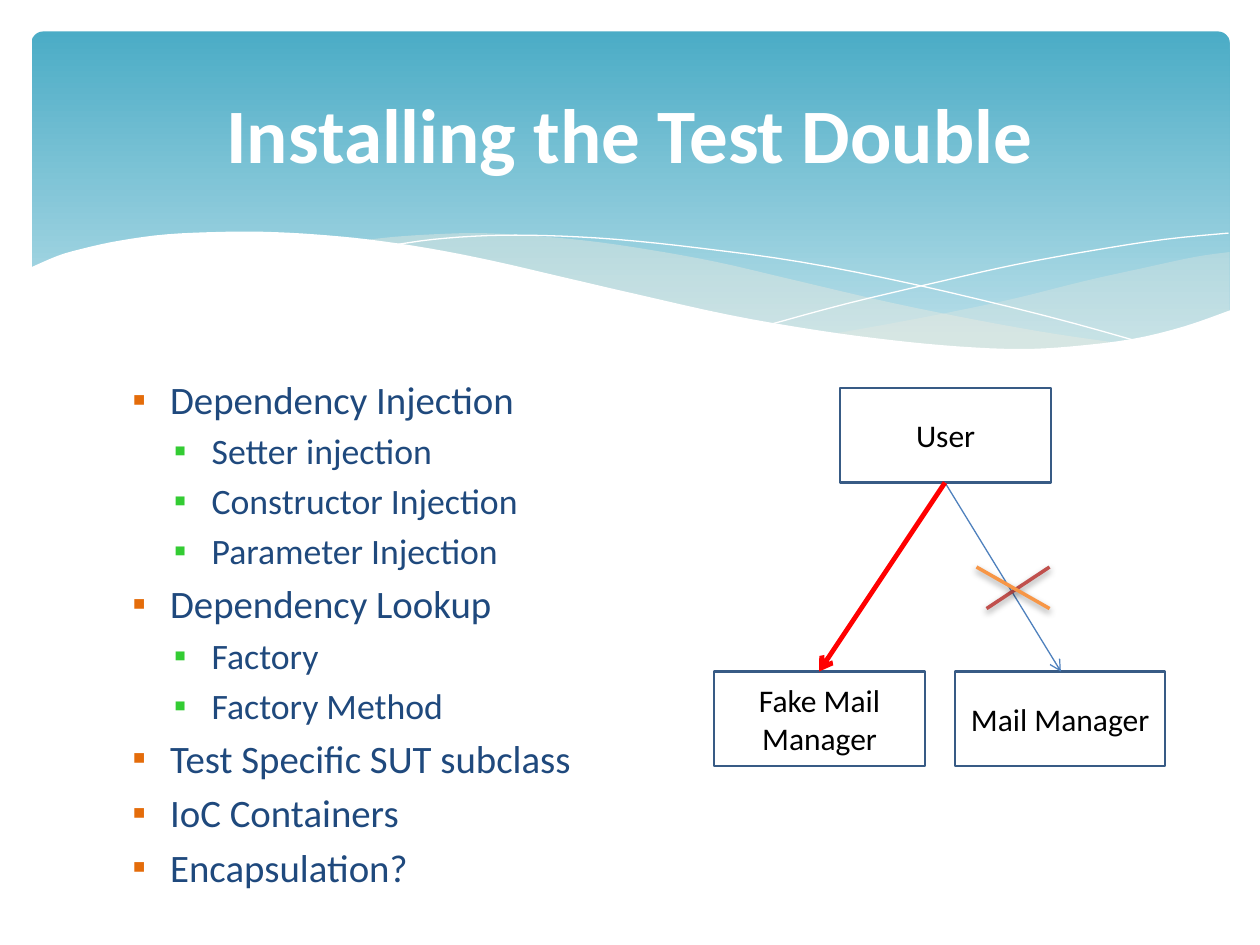
"""Build the slide about installing a test double."""
from dataclasses import dataclass
from lxml import etree
from pptx import Presentation
from pptx.dml.color import RGBColor
from pptx.enum.shapes import MSO_CONNECTOR, MSO_SHAPE
from pptx.enum.text import MSO_ANCHOR, MSO_AUTO_SIZE, PP_ALIGN
from pptx.oxml.ns import qn
from pptx.util import Inches, Pt

RECT, ROUND = MSO_SHAPE.RECTANGLE, MSO_SHAPE.ROUNDED_RECTANGLE
STRAIGHT = MSO_CONNECTOR.STRAIGHT
LEFT, CENTER = PP_ALIGN.LEFT, PP_ALIGN.CENTER
TOP, MIDDLE = MSO_ANCHOR.TOP, MSO_ANCHOR.MIDDLE
NO_FIT = MSO_AUTO_SIZE.NONE

WHITE, BLACK = RGBColor(255, 255, 255), RGBColor(0, 0, 0)
TEAL, PALE = RGBColor(0x4B, 0xAC, 0xC6), RGBColor(0xB7, 0xDE, 0xE8)
SAND, NAVY = RGBColor(0xEE, 0xEC, 0xE1), RGBColor(0x1F, 0x49, 0x7D)
RUST, GREEN = RGBColor(0xE4, 0x6C, 0x0A), RGBColor(0x33, 0xCC, 0x33)
EDGE, BLUE = RGBColor(0x38, 0x5B, 0x85), RGBColor(0x4F, 0x81, 0xBD)
RED, BRICK = RGBColor(255, 0, 0), RGBColor(0xC0, 0x50, 0x4D)
AMBER = RGBColor(0xF7, 0x96, 0x46)
FONT = "Calibri"

Point = tuple[float, float]


@dataclass
class Wave:
    curves: list[list[Point]]
    fill: RGBColor | None = None
    alpha: int = 100


@dataclass
class Box:
    text: str
    left: float
    top: float


@dataclass
class Line:
    start: Point
    end: Point
    color: RGBColor
    width: float
    arrow: bool = False


@dataclass
class Level:
    size: float
    indent: float
    color: RGBColor


WAVES = [
    Wave([[(9.76, 2), (9.48, 2.04), (9.06, 2.13), (8.61, 2.23), (8.05, 2.37),
           (7.53, 2.48), (7.06, 2.57), (6.61, 2.65)],
          [(6.61, 2.65), (7.05, 2.71), (7.57, 2.76), (8.03, 2.78), (8.54, 2.76),
           (8.97, 2.7), (9.35, 2.62), (9.76, 2.47)]], SAND, 29),
    Wave([[(8.93, 2.73), (8.37, 2.65), (7.75, 2.54), (7.06, 2.4), (6.29, 2.22),
           (5.69, 2.08), (5.14, 1.98), (4.65, 1.91), (4.2, 1.87), (3.8, 1.85),
           (3.44, 1.86), (3.13, 1.88), (2.86, 1.91)],
          [(2.86, 1.91), (3.42, 1.99), (4.04, 2.11), (4.49, 2.22), (5.3, 2.4),
           (6.01, 2.55), (6.65, 2.66), (7.22, 2.74), (7.73, 2.77), (8.18, 2.78),
           (8.57, 2.77), (8.93, 2.73)]], SAND, 40),
    Wave([[(3.09, 1.95), (3.44, 1.9), (3.87, 1.87), (4.33, 1.87), (4.89, 1.9),
           (5.56, 1.97), (6.36, 2.08), (7.27, 2.26), (8.31, 2.51), (9.07, 2.72)]]),
    Wave([[(6.13, 2.57), (6.72, 2.41), (7.48, 2.23), (8.06, 2.1), (8.66, 1.99),
           (9.24, 1.9), (9.75, 1.85)]]),
    Wave([[(9.77, 2.46), (9.4, 2.59), (8.99, 2.69), (8.5, 2.75), (8.09, 2.77),
           (7.61, 2.75), (7.08, 2.7), (6.48, 2.62), (5.79, 2.5), (5.03, 2.33),
           (4.47, 2.2), (3.91, 2.07), (3.4, 1.97), (2.92, 1.9), (2.5, 1.86),
           (2.11, 1.84), (1.77, 1.84), (1.32, 1.86), (0.95, 1.91), (0.67, 1.97),
           (0.46, 2.03), (0.23, 2.13)], [(0.23, 3.29), (9.77, 3.29)]], WHITE),
]
LEVELS = [Level(22.2, 0.3, RUST), Level(20.4, 0.63, GREEN)]
ITEMS = [
    (0, "Dependency Injection"), (1, "Setter injection"),
    (1, "Constructor Injection"), (1, "Parameter Injection"),
    (0, "Dependency Lookup"), (1, "Factory"), (1, "Factory Method"),
    (0, "Test Specific SUT subclass"), (0, "IoC Containers"), (0, "Encapsulation?"),
]
BOXES = [Box("User", 6.67, 3.08), Box("Mail Manager", 7.58, 5.33),
         Box("Fake Mail Manager", 5.67, 5.33)]
LINES = [
    Line((7.5, 3.83), (8.42, 5.33), BLUE, 0.75, True),
    Line((7.5, 3.83), (6.5, 5.33), RED, 2.75, True),
    Line((7.83, 4.83), (8.33, 4.5), BRICK, 2),
    Line((7.75, 4.5), (8.33, 4.83), AMBER, 2),
]


def add(parent, tag: str, **attrs):
    return etree.SubElement(parent, qn(tag), attrs)


def write(para, text: str, *, size: float, color: RGBColor,
          bold: bool = False, align=LEFT) -> None:
    para.alignment = align
    run = para.add_run()
    run.text = text
    font = run.font
    font.name, font.size, font.bold = FONT, Pt(size), bold
    font.color.rgb = color


def place(shape, left: float, top: float, width: float, height: float) -> None:
    shape.left, shape.top = Inches(left), Inches(top)
    shape.width, shape.height = Inches(width), Inches(height)


def smooth(knots: list[Point], steps: int = 4) -> list[Point]:
    if len(knots) < 3:
        return knots
    ends = [knots[0], *knots, knots[-1]]
    points = []
    for a, b, c, d in zip(ends, ends[1:], ends[2:], ends[3:]):
        for step in range(steps):
            t = step / steps
            points.append(tuple(
                q + t / 2 * (r - p + t * (2 * p - 5 * q + 4 * r - s
                                          + t * (3 * (q - r) + s - p)))
                for p, q, r, s in zip(a, b, c, d)))
    return points + [knots[-1]]


def draw_wave(shapes, wave: Wave) -> None:
    points = [(Inches(x), Inches(y)) for curve in wave.curves
              for x, y in smooth(curve)]
    pen = shapes.build_freeform(*points[0])
    pen.add_line_segments(points[1:], close=wave.fill is not None)
    shape = pen.convert_to_shape()
    shape.shadow.inherit = False
    if wave.fill is None:
        shape.fill.background()
        shape.line.color.rgb = WHITE
        shape.line.width = Pt(0)
        return
    shape.line.fill.background()
    shape.fill.solid()
    shape.fill.fore_color.rgb = wave.fill
    if wave.alpha < 100:
        tint = shape._element.spPr.find(".//" + qn("a:srgbClr"))
        add(tint, "a:alpha", val=str(wave.alpha * 1000))


def draw_banner(shapes) -> None:
    shape = shapes.add_shape(ROUND, 0, 0, 0, 0)
    place(shape, 0.25, 0.25, 9.51, 2.7)
    shape.adjustments[0] = 0.034
    shape.shadow.inherit = False
    shape.line.fill.background()
    shape.fill.gradient()
    shape.fill.gradient_angle = 270
    for stop, color, spot in zip(shape.fill.gradient_stops, (TEAL, PALE), (0, 0.9)):
        stop.color.rgb, stop.position = color, spot


def draw_box(shapes, box: Box) -> None:
    shape = shapes.add_shape(RECT, 0, 0, 0, 0)
    place(shape, box.left, box.top, 1.67, 0.75)
    shape.shadow.inherit = False
    shape.fill.solid()
    shape.fill.fore_color.rgb = WHITE
    shape.line.color.rgb, shape.line.width = EDGE, Pt(1.25)
    frame = shape.text_frame
    frame.word_wrap, frame.vertical_anchor = True, MIDDLE
    write(frame.paragraphs[0], box.text, size=18, color=BLACK, align=CENTER)


def draw_line(shapes, line: Line) -> None:
    shape = shapes.add_connector(
        STRAIGHT, *(Inches(n) for n in (*line.start, *line.end)))
    shape.line.color.rgb, shape.line.width = line.color, Pt(line.width)
    props = shape._element.spPr
    effects = add(props, "a:effectLst")
    if line.arrow:
        add(props.find(qn("a:ln")), "a:tailEnd", type="arrow")
        return
    shade = add(effects, "a:outerShdw", blurRad=str(Pt(4)), dist=str(Pt(2)),
                dir="5400000", rotWithShape="0")
    add(add(shade, "a:srgbClr", val=str(BLACK)), "a:alpha", val="38000")


def fill_list(body) -> None:
    place(body, 0.95, 2.93, 8.1, 3.77)
    frame = body.text_frame
    frame.auto_size, frame.vertical_anchor = NO_FIT, TOP
    for rank, (depth, text) in enumerate(ITEMS):
        para = frame.add_paragraph() if rank else frame.paragraphs[0]
        level = LEVELS[depth]
        para.level = depth
        write(para, text, size=level.size, color=NAVY)
        props = para._p.get_or_add_pPr()
        props.set("marL", str(Inches(level.indent)))
        props.set("indent", str(Inches(-0.3)))
        add(add(props, "a:spcBef"), "a:spcPct", val="20000")
        add(add(props, "a:buClr"), "a:srgbClr", val=str(level.color))
        add(props, "a:buChar", char="▪")


def main() -> None:
    deck = Presentation()
    deck.slide_width, deck.slide_height = Inches(10), Inches(7.5)
    slide = deck.slides.add_slide(deck.slide_layouts[1])
    shapes = slide.shapes
    title, body = shapes.title, slide.placeholders[1]
    draw_banner(shapes)
    for wave in WAVES:
        draw_wave(shapes, wave)
    for holder in (body, title):
        shapes._spTree.append(holder._element)
    fill_list(body)
    place(title, 0.5, 0.37, 9, 1.37)
    title.text_frame.auto_size, title.text_frame.vertical_anchor = NO_FIT, MIDDLE
    write(title.text_frame.paragraphs[0], "Installing the Test Double",
          size=44, color=WHITE, bold=True, align=CENTER)
    for box in BOXES:
        draw_box(shapes, box)
    for line in LINES:
        draw_line(shapes, line)
    deck.save("out.pptx")


main()
